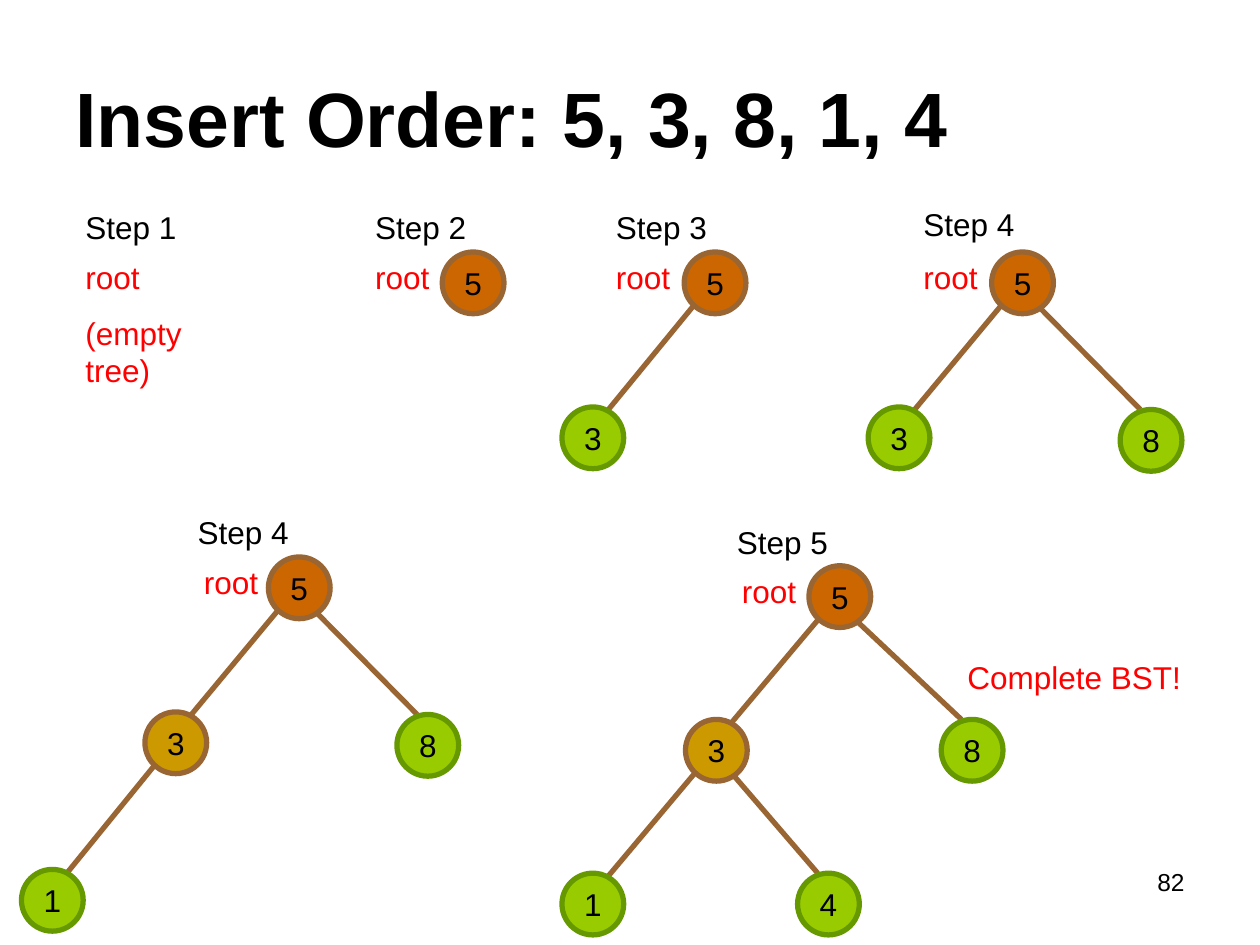
from pptx import Presentation
from pptx.dml.color import RGBColor
from pptx.enum.shapes import MSO_CONNECTOR, MSO_SHAPE
from pptx.enum.text import MSO_ANCHOR as ANCHOR, PP_ALIGN as ALIGN
from pptx.util import Inches, Pt
from lxml.etree import SubElement
from pptx.oxml.ns import qn

BLACK, RED, BROWN = "000000", "FF0000", "996633"
ROOT, INNER, LEAF = ("CC6600", BROWN), ("CC9900", BROWN), ("99CC00", "669900")
NODE = 0.49
LABEL_W, LABEL_H = 1.5, 0.4

TITLE = "Insert Order: 5, 3, 8, 1, 4"
PAGE = "82"
PARENT = {3: 5, 8: 5, 1: 3, 4: 3}

# Step name, its place, root label lines, their place, node places by value
STEPS = [
    ("Step 1", (0.58, 1.6), ["root", "(empty tree)"], (0.58, 2), {}),
    ("Step 2", (2.88, 1.6), ["root"], (2.88, 2), {5: (3.51, 2)}),
    ("Step 3", (4.79, 1.6), ["root"], (4.79, 2),
     {5: (5.43, 2), 3: (4.46, 3.23)}),
    ("Step 4", (7.23, 1.58), ["root"], (7.23, 2),
     {5: (7.87, 2), 3: (6.89, 3.23), 8: (8.89, 3.25)}),
    ("Step 4", (1.47, 4.02), ["root"], (1.52, 4.42),
     {5: (2.13, 4.42), 3: (1.15, 5.65), 8: (3.15, 5.67), 1: (0.17, 6.9)}),
    ("Step 5", (5.75, 4.1), ["root"], (5.79, 4.49),
     {5: (6.42, 4.49), 3: (5.44, 5.71), 8: (7.47, 5.71),
      1: (4.46, 6.93), 4: (6.33, 6.93)}),
]

# Where an edge meets the child and the parent, from each node's corner
LEFT_EDGE = ((0.32, 0.08), (0.08, 0.42))
RIGHT_EDGE = ((0.16, 0), (0.37, 0.43))


def rgb(color):
    return RGBColor.from_string(color)


def style(p, size, color, bold=False, align=ALIGN.LEFT):
    p.alignment = align
    p.font.name, p.font.size, p.font.bold = "Arial", Pt(size), bold
    p.font.color.rgb = rgb(color)


def add_text(s, lines, x, y, w=LABEL_W, h=LABEL_H, size=18, color=BLACK,
             bold=False, align=ALIGN.LEFT, anchor=ANCHOR.TOP):
    tf = s.shapes.add_textbox(Inches(x), Inches(y), Inches(w), Inches(h)).text_frame
    tf.word_wrap = True
    tf.vertical_anchor = anchor
    for i, line in enumerate(lines):
        p = tf.add_paragraph() if i else tf.paragraphs[0]
        p.text = line
        if i:
            p.space_before = Pt(10)
        style(p, size, color, bold, align)


def add_edge(s, child, parent, offsets):
    ends = [Inches(a + b) for spot, offset in zip((child, parent), offsets)
            for a, b in zip(spot, offset)]
    line = s.shapes.add_connector(MSO_CONNECTOR.STRAIGHT, *ends)
    line.line.color.rgb = rgb(BROWN)
    line.line.width = Pt(3)
    SubElement(line._element.spPr, qn("a:effectLst"))


def add_node(s, value, spot, colors):
    x, y = spot
    sp = s.shapes.add_shape(MSO_SHAPE.OVAL, Inches(x), Inches(y),
                            Inches(NODE), Inches(NODE))
    sp.shadow.inherit = False
    sp.fill.solid()
    sp.fill.fore_color.rgb = rgb(colors[0])
    sp.line.color.rgb = rgb(colors[1])
    sp.line.width = Pt(3)
    tf = sp.text_frame
    tf.word_wrap = False
    tf.vertical_anchor = ANCHOR.MIDDLE
    p = tf.paragraphs[0]
    p.text = str(value)
    style(p, 18, BLACK, align=ALIGN.CENTER)


def add_tree(s, nodes):
    children = [value for value in nodes if value in PARENT]
    parents = {PARENT[value] for value in children}
    for value in children:
        parent = PARENT[value]
        add_edge(s, nodes[value], nodes[parent],
                 LEFT_EDGE if value < parent else RIGHT_EDGE)
    for value, spot in nodes.items():
        colors = ROOT if value not in PARENT else INNER if value in parents else LEAF
        add_node(s, value, spot, colors)


def main():
    prs = Presentation()
    prs.slide_width, prs.slide_height = Inches(10), Inches(7.5)
    s = prs.slides.add_slide(prs.slide_layouts[6])

    # Title and page number
    add_text(s, [TITLE], 0.5, 0.3, 9, 1.25, size=44, bold=True, anchor=ANCHOR.MIDDLE)
    add_text(s, [PAGE], 7.17, 6.83, 2.33, 0.52, size=14, align=ALIGN.RIGHT)

    # Steps with their trees
    for name, name_at, root_lines, root_at, nodes in STEPS:
        add_text(s, [name], *name_at)
        add_text(s, root_lines, *root_at, h=0.85 if len(root_lines) > 1 else LABEL_H,
                 color=RED)
        add_tree(s, nodes)

    # Closing remark
    add_text(s, ["Complete BST!"], 7.58, 5.17, w=2.08, color=RED)

    prs.save("out.pptx")


if __name__ == "__main__":
    main()
